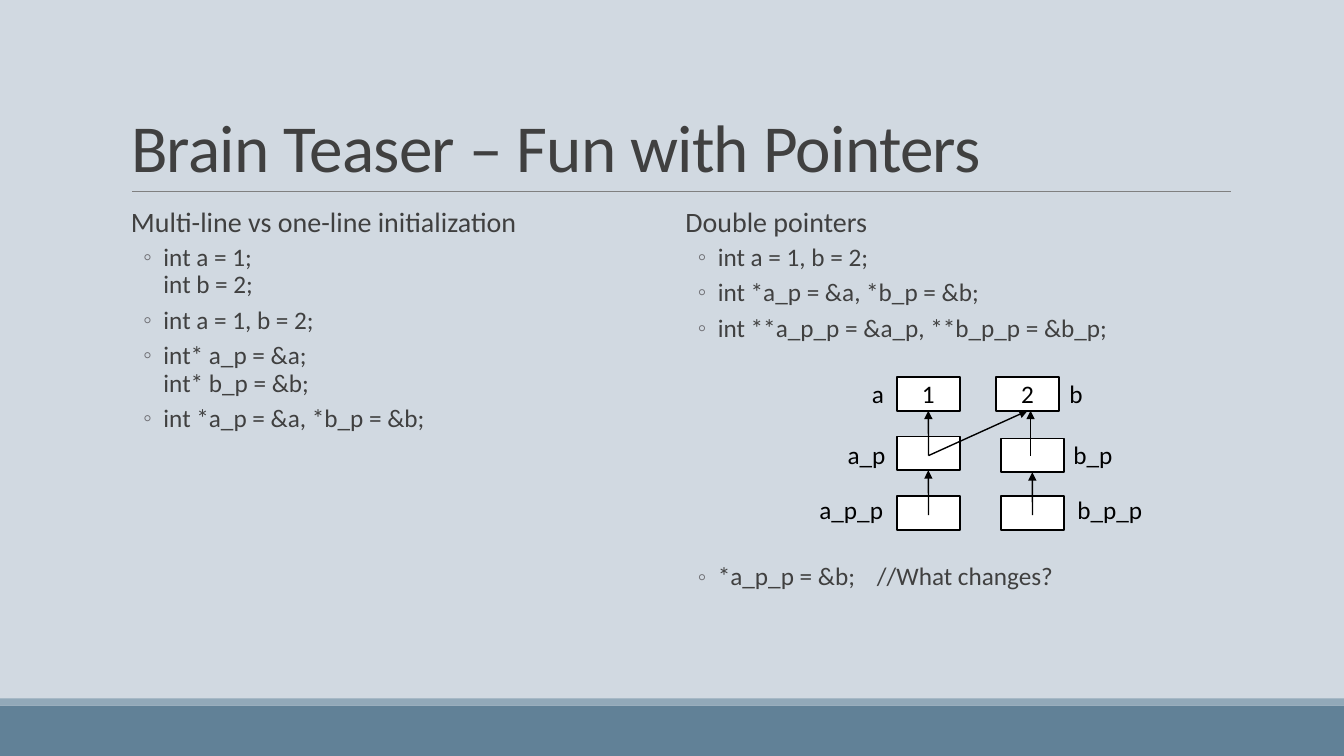
"""Build the slide on pointers, with two code lists and a memory diagram."""
from dataclasses import dataclass

from pptx import Presentation
from pptx.dml.color import RGBColor
from pptx.enum.shapes import MSO_CONNECTOR, MSO_SHAPE
from pptx.enum.text import MSO_ANCHOR, MSO_AUTO_SIZE, PP_ALIGN
from pptx.oxml.ns import qn
from pptx.oxml.xmlchemy import OxmlElement
from pptx.util import Cm, Pt

RECT = MSO_SHAPE.RECTANGLE
STRAIGHT = MSO_CONNECTOR.STRAIGHT
BOTTOM, MIDDLE = MSO_ANCHOR.BOTTOM, MSO_ANCHOR.MIDDLE
LEFT, CENTER = PP_ALIGN.LEFT, PP_ALIGN.CENTER
NO_FIT = MSO_AUTO_SIZE.NONE
BOTTOM_SITE = 2


@dataclass(frozen=True)
class Theme:
    font: str = "Calibri"
    title: int = 48
    heading: int = 20
    body: int = 18
    back: str = "D1D9E1"
    band: str = "618197"
    strip: str = "92A9B9"
    rule: str = "808080"
    text: str = "404040"
    bullet: str = "6F6F74"
    ink: str = "000000"
    paper: str = "FFFFFF"


@dataclass(frozen=True)
class Item:
    lines: tuple[str, ...]
    before: float = 2


@dataclass(frozen=True)
class CodeList:
    left: float
    heading: str
    items: tuple[Item, ...]


@dataclass(frozen=True)
class Variable:
    name: str
    left: float
    top: float
    label_left: float
    label_top: float
    label_width: float
    value: str = ""


@dataclass(frozen=True)
class Arrow:
    x: float
    y: float
    end_x: float
    end_y: float
    target: str = ""


THEME = Theme()
BOX_W, BOX_H = 1.59, 0.85
LISTS = (
    CodeList(3.05, "Multi-line vs one-line initialization", (
        Item(("int a = 1;", "int b = 2;")),
        Item(("int a = 1, b = 2;",)),
        Item(("int* a_p = &a;", "int* b_p = &b;")),
        Item(("int *a_p = &a, *b_p = &b;",)),
    )),
    CodeList(17.02, "Double pointers", (
        Item(("int a = 1, b = 2;",)),
        Item(("int *a_p = &a, *b_p = &b;",)),
        Item(("int **a_p_p = &a_p, **b_p_p = &b_p;",)),
        Item(("*a_p_p = &b;\t//What changes?",), 154),
    )),
)
VARIABLES = (
    Variable("a", 22.6, 9.5, 21.72, 9.4, 0.81, "1"),
    Variable("b", 25.1, 9.5, 26.7, 9.4, 0.86, "2"),
    Variable("a_p", 22.6, 11, 21.11, 10.95, 1.47),
    Variable("b_p", 25.22, 11.05, 26.8, 10.95, 1.5),
    Variable("a_p_p", 22.6, 12.5, 20.4, 12.32, 2.13),
    Variable("b_p_p", 25.22, 12.5, 26.9, 12.32, 2.16),
)
ARROWS = (
    Arrow(23.4, 11.48, 23.4, 10.35, "a"),
    Arrow(25.97, 11.48, 25.97, 10.35),
    Arrow(23.4, 12.98, 23.4, 11.85, "a_p"),
    Arrow(26.02, 12.98, 26.02, 11.9, "b_p"),
    Arrow(23.4, 11.48, 25.9, 10.35, "b"),
)


def rgb(value: str) -> RGBColor:
    """Turn a hex string into a colour."""
    return RGBColor.from_string(value)


def place(sp, x: float, y: float, w: float, h: float) -> None:
    """Move and size a shape in centimetres."""
    sp.left, sp.top, sp.width, sp.height = Cm(x), Cm(y), Cm(w), Cm(h)


def add_run(p, text: str, size: int, color: str):
    """Add one formatted run to a paragraph."""
    r = p.add_run()
    r.text = text
    r.font.name, r.font.size = THEME.font, Pt(size)
    r.font.color.rgb = rgb(color)
    return r


def add_rect(s, x: float, y: float, w: float, h: float, fill: str, line: str = ""):
    """Add a flat rectangle, outlined when a line colour is given."""
    sp = s.shapes.add_shape(RECT, Cm(x), Cm(y), Cm(w), Cm(h))
    sp.shadow.inherit = False
    sp.fill.solid()
    sp.fill.fore_color.rgb = rgb(fill)
    if line:
        sp.line.color.rgb, sp.line.width = rgb(line), Pt(1.25)
    else:
        sp.line.fill.background()
    return sp


def add_line(s, x1: float, y1: float, x2: float, y2: float, color: str, width: float):
    """Add a straight connector without a shadow."""
    c = s.shapes.add_connector(STRAIGHT, Cm(x1), Cm(y1), Cm(x2), Cm(y2))
    c.line.color.rgb, c.line.width = rgb(color), Pt(width)
    c.element.spPr.append(OxmlElement("a:effectLst"))
    return c


def add_arrow(s, arrow: Arrow, boxes: dict) -> None:
    """Add an arrow, joined to its target box if it has one."""
    c = add_line(s, arrow.x, arrow.y, arrow.end_x, arrow.end_y, THEME.ink, 1)
    head = OxmlElement("a:tailEnd")
    head.set("type", "triangle")
    c.element.spPr.find(qn("a:ln")).append(head)
    if arrow.target:
        c.end_connect(boxes[arrow.target], BOTTOM_SITE)


def set_bullet(p, margin: float, indent: float, char: str = "") -> None:
    """Set the indents of a paragraph and its bullet, if any."""
    pPr = p._p.get_or_add_pPr()
    pPr.set("marL", str(Cm(margin)))
    pPr.set("indent", str(Cm(indent)))
    if not char:
        pPr.append(OxmlElement("a:buNone"))
        return
    color, value, bullet = (OxmlElement(t) for t in ("a:buClr", "a:srgbClr", "a:buChar"))
    value.set("val", THEME.bullet)
    color.append(value)
    bullet.set("char", char)
    pPr.append(color)
    pPr.append(bullet)


def space(p, before: float, after: float) -> None:
    """Set the paragraph and line spacing."""
    p.line_spacing, p.space_before, p.space_after = 0.9, Pt(before), Pt(after)


def fill_title(sp) -> None:
    """Write and format the title."""
    place(sp, 3.05, 0.79, 27.94, 4.04)
    tf = sp.text_frame
    tf.auto_size, tf.vertical_anchor = NO_FIT, BOTTOM
    p = tf.paragraphs[0]
    p.alignment, p.line_spacing = LEFT, 0.85
    r = add_run(p, "Brain Teaser – Fun with Pointers", THEME.title, THEME.text)
    r.font._element.set("spc", "-50")


def fill_list(sp, code: CodeList) -> None:
    """Write a heading and its code bullets."""
    place(sp, code.left, 5.13, 13.97, 11.18)
    tf = sp.text_frame
    tf.auto_size = NO_FIT
    tf.margin_left = tf.margin_right = 0
    p = tf.paragraphs[0]
    space(p, 0, 2)
    set_bullet(p, 0.25, 0)
    add_run(p, code.heading, THEME.heading, THEME.text)
    for item in code.items:
        p = tf.add_paragraph()
        p.level = 1
        space(p, item.before, 4)
        set_bullet(p, 1.07, -0.51, "◦")
        for i, line in enumerate(item.lines):
            if i:
                p.add_line_break()
            add_run(p, line, THEME.body, THEME.text)


def add_variable(s, var: Variable):
    """Add a memory box with its label and return the box."""
    sp = add_rect(s, var.left, var.top, BOX_W, BOX_H, THEME.paper, THEME.ink)
    if var.value:
        sp.text_frame.vertical_anchor = MIDDLE
        p = sp.text_frame.paragraphs[0]
        p.alignment = CENTER
        add_run(p, var.value, THEME.body, THEME.ink)
    label = s.shapes.add_textbox(Cm(var.label_left), Cm(var.label_top), Cm(var.label_width), Cm(1.02))
    label.text_frame.word_wrap = False
    add_run(label.text_frame.paragraphs[0], var.name, THEME.body, THEME.ink)
    return sp


def main() -> None:
    """Build and save the slide."""
    prs = Presentation()
    prs.slide_width, prs.slide_height = Cm(33.87), Cm(19.05)
    s = prs.slides.add_slide(prs.slide_layouts[3])
    s.background.fill.solid()
    s.background.fill.fore_color.rgb = rgb(THEME.back)
    add_rect(s, 0, 17.78, 33.87, 1.27, THEME.band)
    add_rect(s, 0, 17.6, 33.87, 0.18, THEME.strip)
    add_line(s, 3.33, 4.83, 31.01, 4.83, THEME.rule, 0.5)
    fill_title(s.shapes.title)
    for i, code in enumerate(LISTS, 1):
        fill_list(s.placeholders[i], code)
    boxes = {var.name: add_variable(s, var) for var in VARIABLES}
    for arrow in ARROWS:
        add_arrow(s, arrow, boxes)
    prs.save("out.pptx")


if __name__ == "__main__":
    main()
